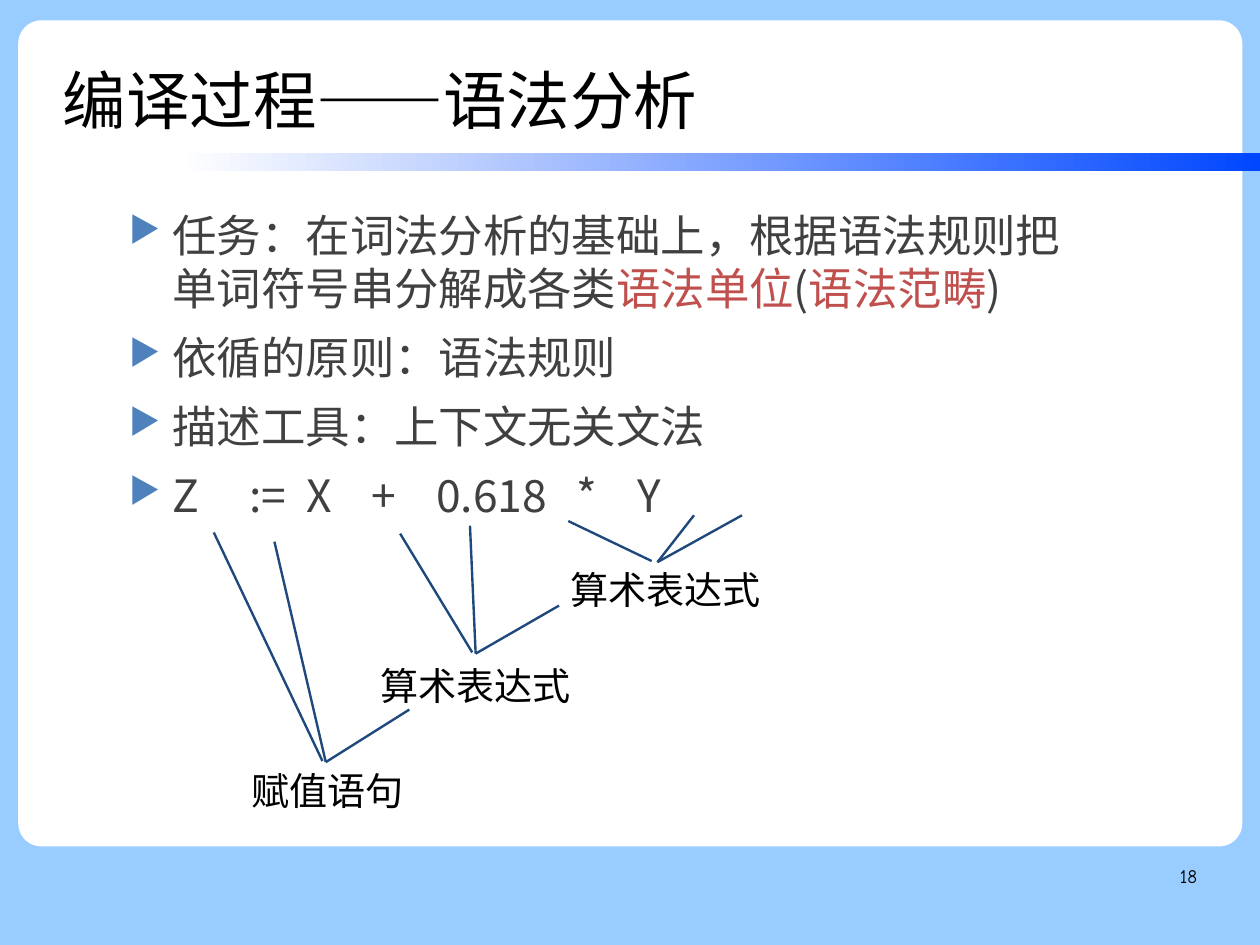
from lxml import etree
from pptx import Presentation
from pptx.dml.color import RGBColor
from pptx.enum.shapes import MSO_CONNECTOR, MSO_SHAPE
from pptx.enum.text import MSO_ANCHOR, MSO_AUTO_SIZE, PP_ALIGN
from pptx.oxml.ns import qn
from pptx.util import Cm, Inches, Pt

STRAIGHT = MSO_CONNECTOR.STRAIGHT
RECT, ROUND_RECT = MSO_SHAPE.RECTANGLE, MSO_SHAPE.ROUNDED_RECTANGLE
MIDDLE, NO_FIT = MSO_ANCHOR.MIDDLE, MSO_AUTO_SIZE.NONE
LEFT, RIGHT = PP_ALIGN.LEFT, PP_ALIGN.RIGHT

COLORS = {"sky": "99CCFF", "white": "FFFFFF", "bar": "0047FF", "black": "000000",
          "body": "404040", "term": "C0504D", "bullet": "4F81BD", "line": "1F497D"}
LATIN, CJK, NUMBER = "Arial", "Noto Sans CJK SC", "Comic Neue"
SPACE_WIDTH = 6.3  # points, body size

POINTS = [
    [("任务：在词法分析的基础上，根据语法规则把单词符号串分解成各类", "body"),
     ("语法单位", "term"), ("(", "body"), ("语法范畴", "term"), (")", "body")],
    [("依循的原则：语法规则", "body")],
    [("描述工具：上下文无关文法", "body")],
]
# Each token with the width of the gap after it, in spaces
EXPRESSION = [("Z", 5), (":=", 2), ("X", 4), ("+", 4), ("0.618", 3), ("*", 4), ("Y", 0)]
# Label, its corner, and the branches that run down to it
TREE = [
    ("算术表达式", (44.37, 59.37), [((45.1, 55.14), (51.72, 59.37)),
                               ((55.08, 54.53), (52.18, 59.49)),
                               ((58.89, 54.53), (52.18, 59.49))]),
    ("算术表达式", (29.31, 69.53), [((31.76, 56.47), (37.48, 69.04)),
                               ((37.3, 55.62), (37.75, 69.17)),
                               ((44.37, 64.09), (37.75, 69.17))]),
    ("赋值语句", (19.06, 80.65), [((16.97, 56.35), (25.59, 80.53)),
                              ((21.78, 57.32), (25.86, 80.65)),
                              ((32.49, 75.09), (25.86, 80.65))]),
]


def rgb(name):
    return RGBColor.from_string(COLORS[name])


class Deck:
    """Draws on one slide; all lengths are percent of its width and height."""

    def __init__(self, width, height):
        self.prs = Presentation()
        self.prs.slide_width, self.prs.slide_height = width, height
        self.s = self.prs.slides.add_slide(self.prs.slide_layouts[5])
        fill = self.s.background.fill
        fill.solid()
        fill.fore_color.rgb = rgb("sky")

    def scale(self, *lengths):
        sides = (self.prs.slide_width, self.prs.slide_height)
        return [int(n * sides[i % 2] / 100) for i, n in enumerate(lengths)]

    def shape(self, kind, box):
        sp = self.s.shapes.add_shape(kind, *self.scale(*box))
        sp.shadow.inherit = False
        sp.line.fill.background()
        return sp

    def panel(self, box):
        sp = self.shape(ROUND_RECT, box)
        sp.adjustments[0] = 0.028
        sp.fill.solid()
        sp.fill.fore_color.rgb = rgb("white")

    def gradient_bar(self, box):
        fill = self.shape(RECT, box).fill
        fill.gradient()
        fill.gradient_angle = 0
        for stop, name in zip(fill.gradient_stops, ("white", "bar")):
            stop.color.rgb = rgb(name)

    def run(self, p, text, size, font=LATIN, color="black"):
        r = p.add_run()
        r.text = text
        r.font.size, r.font.name = Pt(size), font
        r.font.color.rgb = rgb(color)
        etree.SubElement(r.font._element, qn("a:ea"), typeface=CJK)
        return r

    def no_margins(self, tf):
        tf.margin_left = tf.margin_right = tf.margin_top = tf.margin_bottom = 0

    def title(self, text, box):
        sp = self.s.shapes.title
        sp.left, sp.top, sp.width, sp.height = self.scale(*box)
        self.s.shapes._spTree.append(sp._element)  # bring in front of the panel
        tf = sp.text_frame
        self.no_margins(tf)
        tf.vertical_anchor, tf.auto_size = MIDDLE, NO_FIT
        p = tf.paragraphs[0]
        p.alignment, p.line_spacing = LEFT, 1.1
        self.run(p, text, 40)

    def text_box(self, box, wrap=True):
        tf = self.s.shapes.add_textbox(*self.scale(*box)).text_frame
        tf.word_wrap = wrap
        return tf

    def bullet(self, tf, first=False):
        p = tf.paragraphs[0] if first else tf.add_paragraph()
        p.line_spacing = Pt(33.5)
        p.space_before = Pt(0 if first else 10)
        pPr = p._p.get_or_add_pPr()
        pPr.set("marL", str(Inches(0.38)))
        pPr.set("indent", str(-Inches(0.38)))
        color = etree.SubElement(pPr, qn("a:buClr"))
        etree.SubElement(color, qn("a:srgbClr"), val=COLORS["bullet"])
        etree.SubElement(pPr, qn("a:buSzPct"), val="80000")
        etree.SubElement(pPr, qn("a:buChar"), char="▶")
        return p

    def body(self, points, expression, box):
        tf = self.text_box(box)
        for i, point in enumerate(points):
            p = self.bullet(tf, first=i == 0)
            for text, color in point:
                self.run(p, text, 28, CJK, color)
        p = self.bullet(tf)
        for token, gap in expression:
            self.run(p, token, 28, CJK, "body")
            if gap:
                space = self.run(p, " ", 28, CJK, "body")
                space.font._element.set("spc", str(round((gap - 1) * SPACE_WIDTH * 100)))

    def label(self, text, corner):
        tf = self.text_box((*corner, 17.06, 6.05), wrap=False)
        self.run(tf.paragraphs[0], text, 24)

    def branch(self, start, end):
        line = self.s.shapes.add_connector(STRAIGHT, *self.scale(*start, *end))
        line.line.color.rgb, line.line.width = rgb("line"), Pt(1.5)
        etree.SubElement(line._element.spPr, qn("a:effectLst"))

    def page_number(self, text, box):
        tf = self.text_box(box)
        self.no_margins(tf)
        p = tf.paragraphs[0]
        p.alignment, p.line_spacing = RIGHT, 1.16
        self.run(p, text, 12, NUMBER)


def main():
    deck = Deck(Cm(28), Cm(21))
    deck.panel((1.45, 2.15, 97.15, 87.42))
    deck.gradient_bar((14.25, 16.2, 85.75, 1.93))
    deck.title("编译过程——语法分析", (4.99, 3.99, 77.86, 12.21))
    deck.body(POINTS, EXPRESSION, (9.35, 21.4, 78.31, 57.5))
    for text, corner, branches in TREE:
        deck.label(text, corner)
        for start, end in branches:
            deck.branch(start, end)
    deck.page_number("18", (71.69, 91.05, 23.32, 6.89))
    deck.prs.save("out.pptx")


if __name__ == "__main__":
    main()
